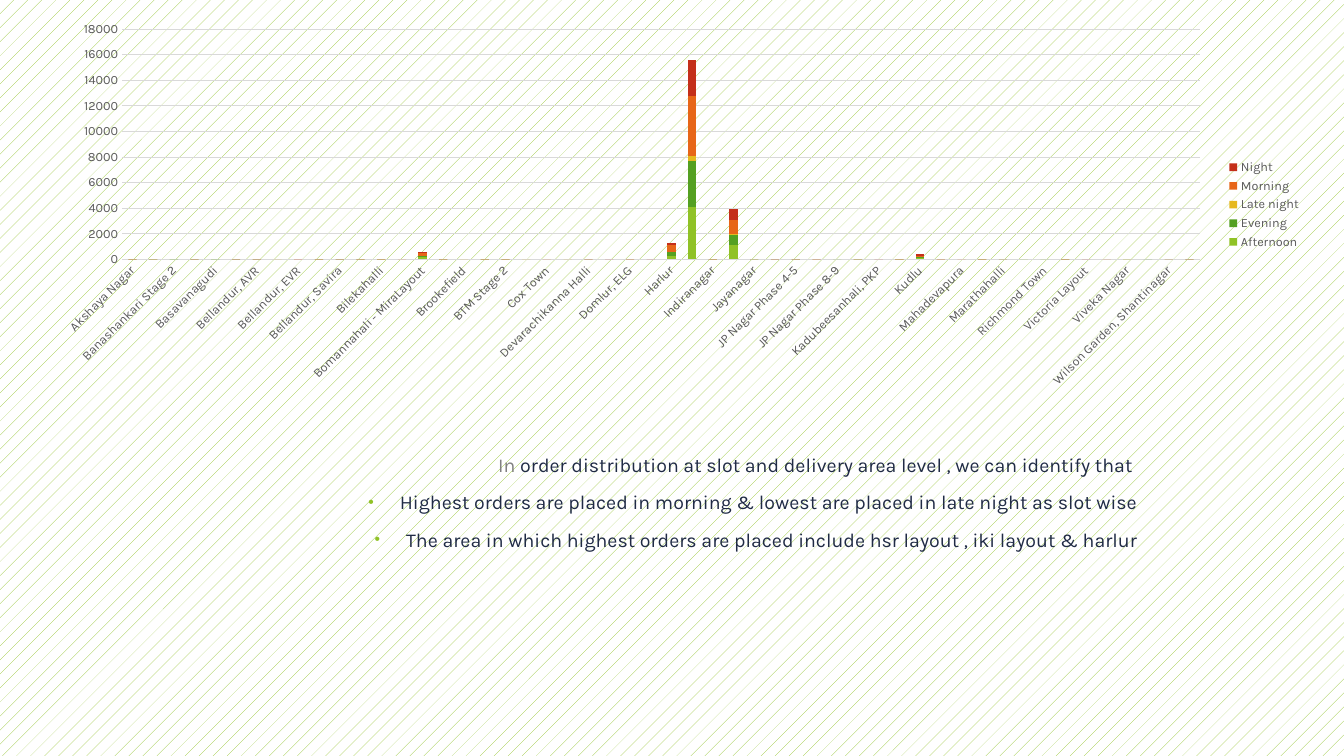
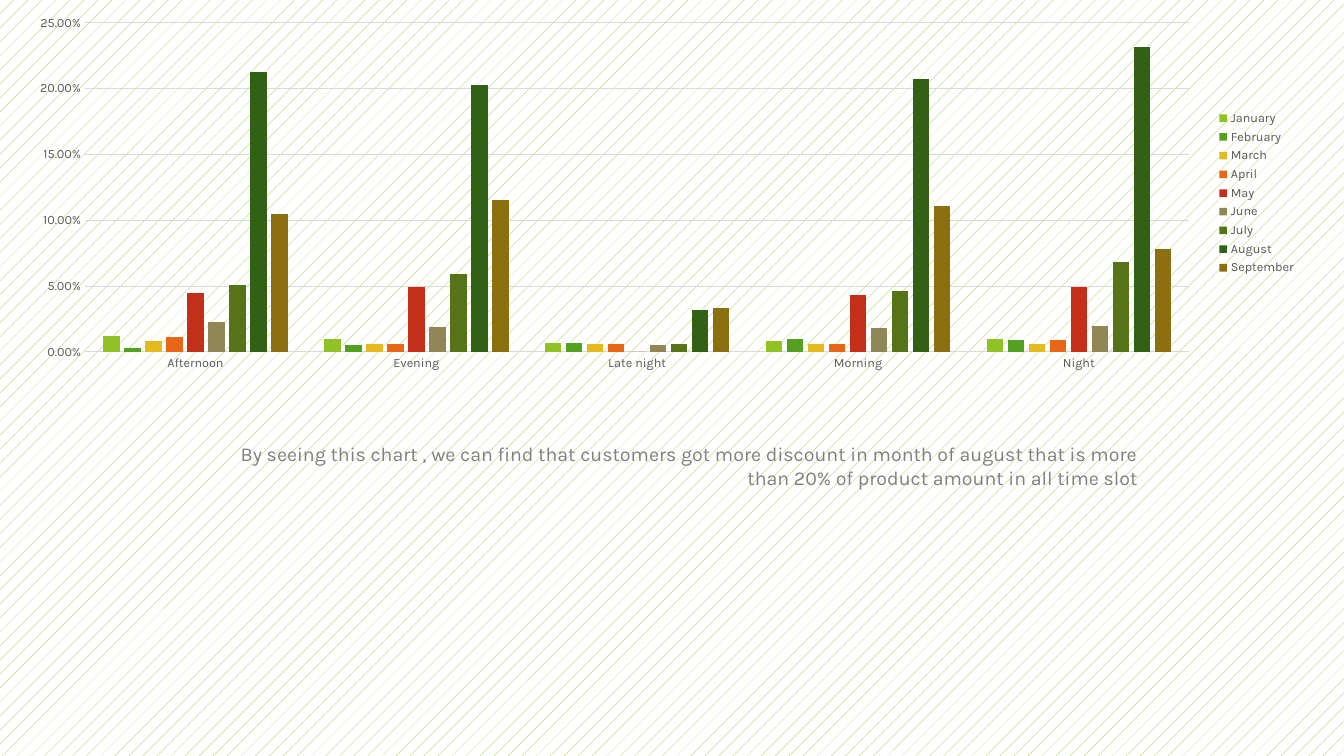
import lxml.etree
import pptx
import pptx.chart.data
import pptx.dml.color
import pptx.enum.chart
import pptx.enum.dml
import pptx.enum.text
import pptx.oxml.ns
import pptx.util

Pt = pptx.util.Pt
RGBColor = pptx.dml.color.RGBColor
ChartType = pptx.enum.chart.XL_CHART_TYPE

FONT = "Karla"
GREEN = RGBColor(0x90, 0xC2, 0x26)
DARK_GREEN = RGBColor(0x54, 0xA0, 0x21)
YELLOW = RGBColor(0xE6, 0xB9, 0x1E)
ORANGE = RGBColor(0xE7, 0x66, 0x18)
RED = RGBColor(0xC4, 0x2F, 0x1A)
KHAKI = RGBColor(0x91, 0x86, 0x55)
OLIVE = RGBColor(0x56, 0x74, 0x17)
FOREST = RGBColor(0x32, 0x60, 0x14)
BRONZE = RGBColor(0x8C, 0x70, 0x10)
SERIES_COLORS = [GREEN, DARK_GREEN, YELLOW, ORANGE, RED, KHAKI, OLIVE, FOREST, BRONZE]
WHITE = RGBColor(0xFF, 0xFF, 0xFF)
BLACK = RGBColor(0x00, 0x00, 0x00)
NAVY = RGBColor(0x20, 0x2B, 0x45)
GRAY = RGBColor(0x80, 0x80, 0x80)
LABEL_GRAY = RGBColor(0x59, 0x59, 0x59)
GRID_GRAY = RGBColor(0xD9, 0xD9, 0xD9)

AREAS = [
    "Akshaya Nagar", "Arekere", "Banashankari Stage 2", "Bannerghatta", "Basavanagudi",
    "Bellandur - Off Sarjapur Road", "Bellandur, AVR", "Bellandur, Corvspace",
    "Bellandur, EVR", "Bellandur, Green Dale", "Bellandur, Savira",
    "Bellandur, Sarjapur Road", "Bilekahalli", "Binnipet", "Bomannahali - MiraLayout",
    "Bommanahalli", "Brookefield", "BTM Stage 1", "BTM Stage 2", "Challagatta",
    "Cox Town", "CV Raman Nagar", "Devarachikanna Halli", "Doddanekundi", "Domlur, ELG",
    "Frazer Town", "Harlur", "HSR Layout", "Indiranagar", "IKI Layout", "Jayanagar",
    "JP Nagar Phase 1-3", "JP Nagar Phase 4-5", "JP Nagar Phase 6-7",
    "JP Nagar Phase 8-9", "Kadubeesanhali, Parvelle", "Kadubeesanhali, PKP",
    "Koramangala, Ejipura", "Kudlu", "Kumaraswamy Layout", "Mahadevapura",
    "Marigold County", "Marathahalli", "Pattandur", "Richmond Town", "Sarjapur Road",
    "Victoria Layout", "Vimanapura", "Viveka Nagar", "Whitefield",
    "Wilson Garden, Shantinagar", "Yemalur",
]
SLOTS = ["Afternoon", "Evening", "Late night", "Morning", "Night"]

ORDERS_BY_SLOT = {
    "Afternoon": "0 0 0 0 0 0 0 - - 0 0 0 0 - 200 0 - 0 0 - - - - - 0 - 300 4100 0 1100 "
                 "0 - 0 0 0 0 - 0 100 0 - 0 - 0 0 0 - - 0 - 0 0",
    "Evening": "0 0 0 0 0 0 0 - - 0 0 0 0 - 100 0 - 0 0 - - - 0 - - - 300 3600 0 800 "
               "0 0 0 - - 0 - 0 100 - - 0 0 - - 0 - - - 0 - 0",
    "Late night": "0 0 - - - - - 0 - 0 - 0 0 - 0 0 0 0 0 0 - 0 - - - - 0 400 0 100 "
                  "- - - - - 0 - 0 0 - - 0 - - - 0 - - 0 - - -",
    "Morning": "0 - - 0 - 0 0 - 0 0 0 0 0 0 200 0 - 0 0 - 0 - 0 - 0 - 500 4700 0 1100 "
               "0 0 0 0 - - - 0 100 0 0 0 0 - - 0 - 0 - - - 0",
    "Night": "0 0 - 0 - 0 0 - 0 0 0 0 0 - 100 0 - 0 0 - - - 0 0 0 0 200 2800 0 800 "
             "- 0 0 0 - 0 0 0 100 0 - 0 - - - 0 0 - - - 0 0",
}
DISCOUNT_BY_MONTH = {
    "January": [0.012, 0.01, 0.007, 0.008, 0.01],
    "February": [0.003, 0.005, 0.007, 0.01, 0.009],
    "March": [0.008, 0.006, 0.006, 0.006, 0.006],
    "April": [0.011, 0.006, 0.006, 0.006, 0.009],
    "May": [0.045, 0.049, 0, 0.043, 0.049],
    "June": [0.023, 0.019, 0.005, 0.018, 0.02],
    "July": [0.051, 0.059, 0.006, 0.046, 0.068],
    "August": [0.213, 0.203, 0.032, 0.207, 0.232],
    "September": [0.105, 0.115, 0.033, 0.111, 0.078],
}


def parse_orders(text):
    return [None if value == "-" else int(value) for value in text.split()]


def add_patterned_slide(presentation):
    slide = presentation.slides.add_slide(presentation.slide_layouts[6])
    fill = slide.background.fill
    fill.patterned()
    fill.pattern = pptx.enum.dml.MSO_PATTERN.PERCENT_5
    fill.fore_color.rgb = GREEN
    fill.back_color.rgb = WHITE
    return slide


def style_font(font, size, color):
    font.name = FONT
    font.size = Pt(size)
    font.color.rgb = color


def style_line(line):
    line.color.rgb = GRID_GRAY
    line.width = Pt(0.75)


def style_axes(chart, number_format, maximum, major_unit):
    for axis in (chart.category_axis, chart.value_axis):
        axis.major_tick_mark = pptx.enum.chart.XL_TICK_MARK.NONE
        axis.minor_tick_mark = pptx.enum.chart.XL_TICK_MARK.NONE
        style_font(axis.tick_labels.font, 9, LABEL_GRAY)
    style_line(chart.category_axis.format.line)
    value_axis = chart.value_axis
    value_axis.format.line.fill.background()
    value_axis.has_major_gridlines = True
    style_line(value_axis.major_gridlines.format.line)
    value_axis.minimum_scale = 0
    value_axis.maximum_scale = maximum
    value_axis.major_unit = major_unit
    value_axis.tick_labels.number_format = number_format
    value_axis.tick_labels.number_format_is_linked = False


def add_column_chart(slide, chart_type, box, categories, series_values, number_format,
                     gap, overlap, maximum, major_unit):
    data = pptx.chart.data.CategoryChartData(number_format=number_format)
    data.categories = categories
    for name, values in series_values.items():
        data.add_series(name, values)
    chart = slide.shapes.add_chart(chart_type, *map(Pt, box), data).chart
    chart.has_title = False
    style_font(chart.font, 10, BLACK)
    chart.has_legend = True
    chart.legend.position = pptx.enum.chart.XL_LEGEND_POSITION.RIGHT
    chart.legend.include_in_layout = False
    style_font(chart.legend.font, 9, LABEL_GRAY)
    style_axes(chart, number_format, maximum, major_unit)
    plot = chart.plots[0]
    plot.vary_by_categories = False
    plot.gap_width = gap
    plot.overlap = overlap
    for series, color in zip(plot.series, SERIES_COLORS):
        series.invert_if_negative = False
        series.format.fill.solid()
        series.format.fill.fore_color.rgb = color
    return chart


def slant_category_labels(chart):
    body = chart.category_axis.tick_labels.font._element.getparent().getparent().getparent()
    body.find(pptx.oxml.ns.qn("a:bodyPr")).set("rot", "-2700000")


def add_bullet(paragraph):
    properties = paragraph._p.get_or_add_pPr()
    properties.set("marL", str(Pt(22.5)))
    properties.set("indent", str(Pt(-22.5)))

    def add_child(parent, tag, **attributes):
        return lxml.etree.SubElement(parent, pptx.oxml.ns.qn(tag), attributes)

    color = add_child(properties, "a:buClr")
    add_child(color, "a:srgbClr", val=str(GREEN))
    add_child(properties, "a:buSzPct", val="80000")
    add_child(properties, "a:buFont", typeface="Arial")
    add_child(properties, "a:buChar", char="•")


def add_commentary(slide, top, paragraphs):
    frame = slide.shapes.add_textbox(Pt(139.7), Pt(top), Pt(680.4), Pt(77)).text_frame
    frame.word_wrap = True
    for index, (bulleted, runs) in enumerate(paragraphs):
        paragraph = frame.add_paragraph() if index else frame.paragraphs[0]
        paragraph.alignment = pptx.enum.text.PP_ALIGN.RIGHT
        paragraph.space_before = Pt(10)
        if bulleted:
            add_bullet(paragraph)
        for text, color in runs:
            run = paragraph.add_run()
            run.text = text
            style_font(run.font, 14, color)


def build_orders_slide(presentation):
    slide = add_patterned_slide(presentation)
    add_commentary(slide, 319.7, [
        (False, [
            ("In ", GRAY),
            ("order distribution at slot and delivery area level , we can identify that ", NAVY),
        ]),
        (True, [("Highest orders are placed in morning & lowest are placed in late night "
                 "as slot wise", NAVY)]),
        (True, [("The area in which highest orders are placed include hsr layout , "
                 "iki layout & harlur", NAVY)]),
    ])
    orders = {slot: parse_orders(text) for slot, text in ORDERS_BY_SLOT.items()}
    chart = add_column_chart(slide, ChartType.COLUMN_STACKED, (29.5, 10.1, 907.2, 272.2),
                             AREAS, orders, "General", 150, 100, 18000, 2000)
    slant_category_labels(chart)


def build_discount_slide(presentation):
    slide = add_patterned_slide(presentation)
    add_commentary(slide, 312.3, [
        (False, [("By seeing this chart , we can find that customers got more discount in month "
                  "of august that is more than 20% of product amount in all time slot", GRAY)]),
    ])
    add_column_chart(slide, ChartType.COLUMN_CLUSTERED, (10.1, 5.8, 923, 264.2),
                     SLOTS, DISCOUNT_BY_MONTH, "0.00%", 219, -27, 0.25, 0.05)


def main():
    presentation = pptx.Presentation()
    presentation.slide_width = Pt(960)
    presentation.slide_height = Pt(540)
    build_orders_slide(presentation)
    build_discount_slide(presentation)
    presentation.save("out.pptx")


if __name__ == "__main__":
    main()
